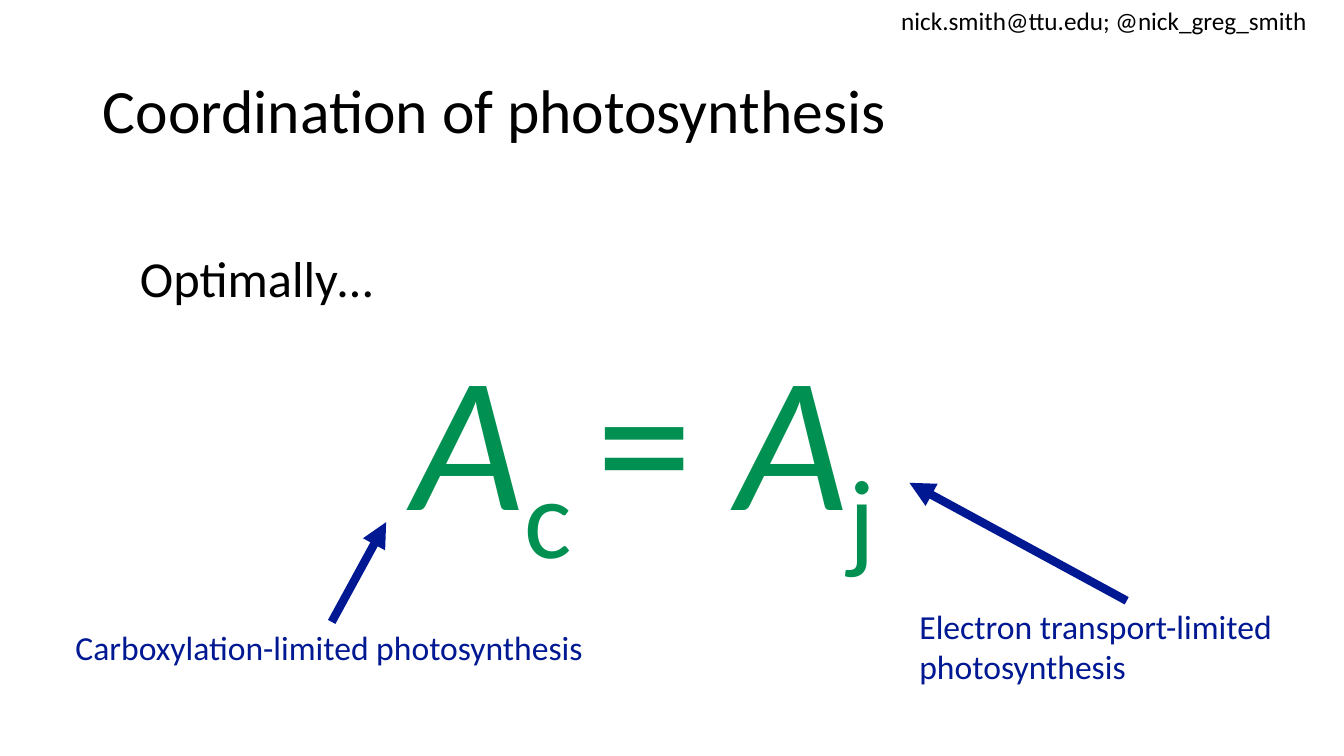
from dataclasses import dataclass

from lxml.etree import SubElement
from pptx import Presentation
from pptx.dml.color import RGBColor
from pptx.enum.shapes import MSO_CONNECTOR
from pptx.enum.text import MSO_ANCHOR, MSO_AUTO_SIZE, PP_ALIGN
from pptx.oxml.ns import qn
from pptx.util import Inches, Pt


@dataclass(frozen=True)
class Theme:
    """Colours, font and type sizes of the slide."""
    font: str = "Calibri"
    black: str = "000000"
    green: str = "009051"
    navy: str = "011893"
    title: int = 44
    equation: int = 138
    lead: int = 36
    label: int = 24
    contact: int = 18
    arrow: int = 6


THEME = Theme()


def style(p, size, color):
    """Set the font of a whole paragraph."""
    p.font.name = THEME.font
    p.font.size = Pt(size)
    p.font.color.rgb = RGBColor.from_string(color)


def add_title(s, text):
    """Fill and place the title placeholder."""
    title = s.shapes.title
    title.left, title.top = Inches(0.92), Inches(0.4)
    title.width, title.height = Inches(11.5), Inches(1.45)
    tf = title.text_frame
    tf.text = text
    tf.vertical_anchor = MSO_ANCHOR.MIDDLE
    p = tf.paragraphs[0]
    p.alignment = PP_ALIGN.LEFT
    p.line_spacing = 0.9
    style(p, THEME.title, THEME.black)


def add_text(s, box, text, size, color, wrap=False):
    """Add a one-paragraph text box and return it."""
    sp = s.shapes.add_textbox(*map(Inches, box))
    tf = sp.text_frame
    tf.word_wrap = wrap
    tf.auto_size = MSO_AUTO_SIZE.SHAPE_TO_FIT_TEXT
    p = tf.paragraphs[0]
    p.text = text
    style(p, size, color)
    return sp


def add_equation(s, box, terms):
    """Add an equation from (text, kind) terms."""
    sp = add_text(s, box, "", THEME.equation, THEME.green)
    p = sp.text_frame.paragraphs[0]
    for text, kind in terms:
        r = p.add_run()
        r.text = text
        if kind == "variable":
            r.font.italic = True
        elif kind == "subscript":
            r._r.get_or_add_rPr().set("baseline", "-25000")


def add_arrow(s, label, x, y):
    """Draw an arrow from the top of a label to a point."""
    arrow = s.shapes.add_connector(
        MSO_CONNECTOR.STRAIGHT, label.left, label.top, Inches(x), Inches(y))
    arrow.begin_connect(label, 0)
    arrow.line.width = Pt(THEME.arrow)
    arrow.line.color.rgb = RGBColor.from_string(THEME.navy)
    SubElement(arrow.line._get_or_add_ln(), qn("a:tailEnd"), type="triangle")
    SubElement(arrow._element.spPr, qn("a:effectLst"))


def main():
    """Build and save the slide."""
    prs = Presentation()
    prs.slide_width, prs.slide_height = Inches(13.33), Inches(7.5)
    s = prs.slides.add_slide(prs.slide_layouts[5])

    add_title(s, "Coordination of photosynthesis")
    add_equation(s, (3.99, 3.1, 4.99, 2.42), [
        ("A", "variable"), ("c ", "subscript"), ("= ", "operator"),
        ("A", "variable"), ("j", "subscript")])
    add_text(s, (1.29, 2.4, 2.54, 0.71), "Optimally…", THEME.lead, THEME.black)

    carboxylation = add_text(
        s, (0.65, 6.17, 5.28, 0.5), "Carboxylation-limited photosynthesis",
        THEME.label, THEME.navy)
    add_arrow(s, carboxylation, 3.83, 5.18)
    transport = add_text(
        s, (9.02, 5.96, 4.31, 0.91), "Electron transport-limited photosynthesis",
        THEME.label, THEME.navy, wrap=True)
    add_arrow(s, transport, 9.02, 4.79)

    add_text(s, (8.84, 0, 4.27, 0.4), "nick.smith@ttu.edu; @nick_greg_smith",
             THEME.contact, THEME.black)
    prs.save("out.pptx")


if __name__ == "__main__":
    main()
